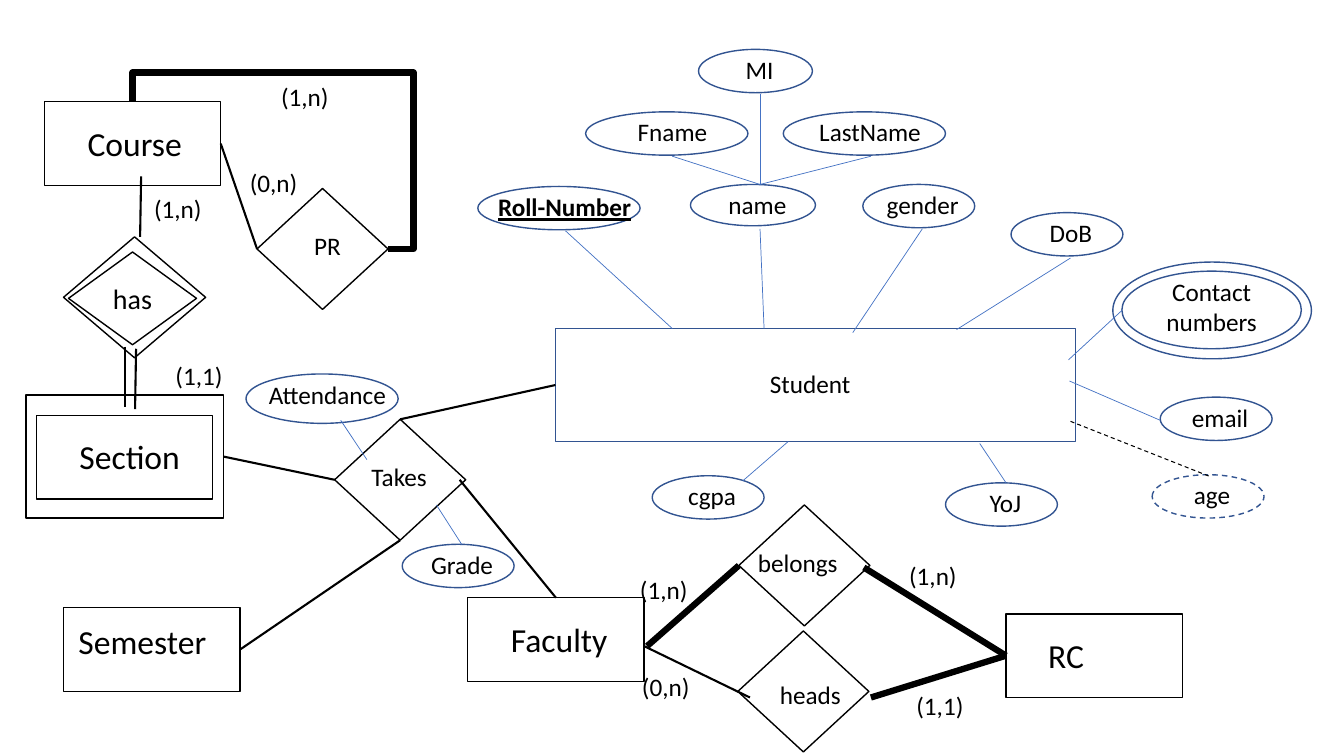
"""Builds an entity-relationship diagram of students, courses and faculty."""
from pptx import Presentation, util as u
from pptx.dml.color import RGBColor
from pptx.enum import dml, shapes, text
from pptx.oxml import parse_xml
from pptx.oxml.ns import nsdecls, qn

CELL = u.Inches(0.1)
COLUMNS, ROWS = 133.33, 75
LEFT, CENTRE = text.PP_ALIGN.LEFT, text.PP_ALIGN.CENTER
DASH = dml.MSO_LINE.DASH
KIND = shapes.MSO_SHAPE
THEME = {
    "font": "Calibri",
    "ink": RGBColor.from_string("000000"),
    "size": {"label": u.Pt(18), "inner": u.Pt(20), "entity": u.Pt(24)},
    "pen": {
        "border": ("000000", 1, None),
        "attribute": ("325491", 1, None),
        "derived": ("325491", 1, DASH),
        "spoke": ("4472C4", 0.5, None),
        "derived spoke": ("000000", 0.75, DASH),
        "partial": ("000000", 1.5, None),
        "total": ("000000", 4.5, None),
    },
}

deck = Presentation()
deck.slide_width, deck.slide_height = int(COLUMNS * CELL), int(ROWS * CELL)
page = deck.slides.add_slide(deck.slide_layouts[6])


def stroke(line, pen):
    colour, width, dash = THEME["pen"][pen]
    line.color.rgb = RGBColor.from_string(colour)
    for key, value in {"width": u.Pt(width), "dash_style": dash}.items():
        setattr(line, key, value)


def write(frame, words, size, align, **layout):
    for key, value in {"word_wrap": True, "text": words, **layout}.items():
        setattr(frame, key, value)
    for para in frame.paragraphs:
        para.alignment = align
        for span in para.runs:
            look = {"name": THEME["font"], "size": THEME["size"][size],
                    "bold": words == "Roll-Number", "underline": words == "Roll-Number"}
            for key, value in look.items():
                setattr(span.font, key, value)
            span.font.color.rgb = THEME["ink"]


ENTITY = (17.5, 8.3)
RELATION = (13, 12)
outlines = [
    ("Student", KIND.RECTANGLE, 55.1, 32.6, 51.6, 11.2, "attribute"),
    ("Course", KIND.RECTANGLE, 4.4, 10.1, *ENTITY, "border"),
    ("Section", KIND.RECTANGLE, 3.6, 41.2, *ENTITY, "border"),
    ("Faculty", KIND.RECTANGLE, 46.4, 59.3, *ENTITY, "border"),
    ("RC", KIND.RECTANGLE, 99.8, 60.9, *ENTITY, "border"),
    ("Semester", KIND.RECTANGLE, 6.3, 60.3, *ENTITY, "border"),
    ("Section frame", KIND.RECTANGLE, 2.6, 39.2, 19.6, 12.2, "border"),
    ("has frame", KIND.DIAMOND, 6.3, 23.5, 14.1, 12, "border"),
    ("has", KIND.DIAMOND, 6.8, 25, 12.7, 9.2, "border"),
    ("belongs", KIND.DIAMOND, 73.3, 50.1, *RELATION, "border"),
    ("heads", KIND.DIAMOND, 73.2, 62.6, *RELATION, "border"),
    ("PR", KIND.DIAMOND, 25.5, 18.7, *RELATION, "border"),
    ("Takes", KIND.DIAMOND, 33.2, 41.6, *RELATION, "border"),
    ("Contact", KIND.OVAL, 111.3, 26.9, 17.8, 7.7, "attribute"),
    ("Contact frame", KIND.OVAL, 110.4, 26, 19.7, 9.6, "attribute"),
]

labels = [
    ("Student", 75.4, 36, 11, "label", LEFT),
    ("Contact\nnumbers", 111.3, 26.9, 17.8, "label", CENTRE),
    ("Course", 7.7, 11.7, 12.6, "entity", LEFT),
    ("Section", 6.9, 42.8, 12.6, "entity", LEFT),
    ("Faculty", 49.7, 60.9, 12.6, "entity", LEFT),
    ("RC", 103, 62.5, 12.6, "entity", LEFT),
    ("Semester", 6.8, 61.1, 15.5, "entity", LEFT),
    ("belongs", 74.2, 53.8, 12, "label", LEFT),
    ("heads", 74.4, 66.9, 12, "label", CENTRE),
    ("PR", 26.5, 22.4, 12, "label", CENTRE),
    ("Takes", 33.6, 45.3, 12, "label", CENTRE),
]
cardinalities = [
    ("(1,n)", 25.1, 7.6), ("(0,n)", 22, 16.1), ("(1,n)", 12.5, 18.7), ("(1,1)", 14.6, 35.3),
    ("(1,n)", 60.7, 56.5), ("(1,n)", 87.4, 55.1), ("(0,n)", 60.9, 66.1), ("(1,1)", 88.1, 68),
]
labels += [(words, left, top, 10.3, "label", CENTRE) for words, left, top in cardinalities]

attributes = [
    ("Roll-Number", 47.4, 18.5, 16.1, 4.3),
    ("name", 68.5, 18.3, 12.4, 4.1),
    ("Fname", 58.1, 11.1, 16.1, 4.3),
    ("MI", 69.3, 4.9, 11.3, 4.3),
    ("LastName", 77.7, 11.1, 16.1, 4.3),
    ("gender", 85.6, 18.3, 11.1, 4.3),
    ("DoB", 100.3, 21.1, 11.1, 4.3),
    ("email", 115.1, 39.4, 11.1, 4.3),
    ("YoJ", 93.8, 47.9, 11.1, 4.3),
    ("cgpa", 64.7, 47.2, 11.1, 4.3),
    ("age", 114.3, 47.1, 11.1, 4.3),
    ("Grade", 39.9, 54, 11.1, 4.3),
    ("Attendance", 24.4, 37.1, 15.1, 4.9),
]
for name, left, top, width, height in attributes:
    pen = "derived" if name == "age" else "attribute"
    outlines.append((name, KIND.OVAL, left, top, width, height, pen))
    labels.append((name, left, top, width * 1.07, "label", CENTRE))

drawn = {}
for name, kind, *place, pen in outlines:
    shape = page.shapes.add_shape(kind, *(int(n * CELL) for n in place))
    shape.shadow.inherit = False
    shape.fill.background()
    stroke(shape.line, pen)
    drawn[name] = shape
write(drawn["has"].text_frame, "has", "inner", CENTRE,
      word_wrap=False, vertical_anchor=text.MSO_ANCHOR.MIDDLE)

for words, left, top, width, size, align in labels:
    box = page.shapes.add_textbox(*(int(n * CELL) for n in (left, top, width, 4.4)))
    write(box.text_frame, words, size, align)

TOP, WEST, BOTTOM, EAST = range(4)
links = [
    ("spoke", (66.7, 32.6), (56.1, 22.9)),
    ("spoke", (75.8, 32.6), (75.4, 22.7)),
    ("spoke", (75.4, 18.3), (66.7, 15.5)),
    ("spoke", (75.4, 18.3), (75.4, 9.3)),
    ("spoke", (75.4, 18.3), (86.4, 15.5)),
    ("spoke", (84.6, 33), (91.5, 22.7)),
    ("spoke", (94.9, 32.7), (106.2, 25.6)),
    ("spoke", (106, 35.7), (111.3, 30.8)),
    ("spoke", (106.1, 37.8), (115.1, 41.7)),
    ("derived spoke", (106.2, 41.8), (120.1, 47.3)),
    ("spoke", (97.2, 44), (99.8, 47.9)),
    ("spoke", (78.2, 43.8), (73.7, 47.7)),
    ("spoke", (43.3, 50.1), (45.8, 54)),
    ("spoke", (33.8, 41.7), (36.4, 45.6)),
    ("partial", (14, 17.5), (13.9, 23.5)),
    ("partial", (12.4, 34.4), (12.4, 40.4)),
    ("partial", (13.5, 34.6), (13.4, 40.6)),
    ("partial", (45.6, 47.6), ("Faculty", TOP)),
    ("total", (64.2, 64.1), ("belongs", WEST)),
    ("partial", (63.9, 64.1), (74.4, 69.2)),
    ("total", (85.7, 56.3), ("RC", WEST)),
    ("total", (86.4, 69.2), ("RC", WEST)),
    ("partial", ("Course", EAST), ("PR", WEST)),
    ("total", ("PR", EAST), ("Course", TOP)),
    ("partial", ("Section frame", EAST), ("Takes", WEST)),
    ("partial", ("Takes", TOP), ("Student", WEST)),
    ("partial", ("Takes", BOTTOM), ("Semester", EAST)),
]
for pen, start, end in links:
    recursive = (start, end) == (("PR", EAST), ("Course", TOP))
    route = shapes.MSO_CONNECTOR.ELBOW if recursive else shapes.MSO_CONNECTOR.STRAIGHT
    points = [(0, 0) if spot[0] in drawn else spot for spot in (start, end)]
    link = page.shapes.add_connector(route, *(int(n * CELL) for point in points for n in point))
    for spot, join in ((start, link.begin_connect), (end, link.end_connect)):
        if spot[0] in drawn:
            join(drawn[spot[0]], spot[1])
    stroke(link.line, pen)
    properties = link._element.spPr
    properties.append(parse_xml(f"<a:effectLst {nsdecls('a')}/>"))
    if recursive:
        geometry = properties.find(qn("a:prstGeom"))
        geometry.set("prst", "bentConnector4")
        bends = geometry.find(qn("a:avLst"))
        for name, value in (("adj1", -10000), ("adj2", 119800)):
            bends.append(parse_xml(f'<a:gd {nsdecls("a")} name="{name}" fmla="val {value}"/>'))

deck.save("out.pptx")
